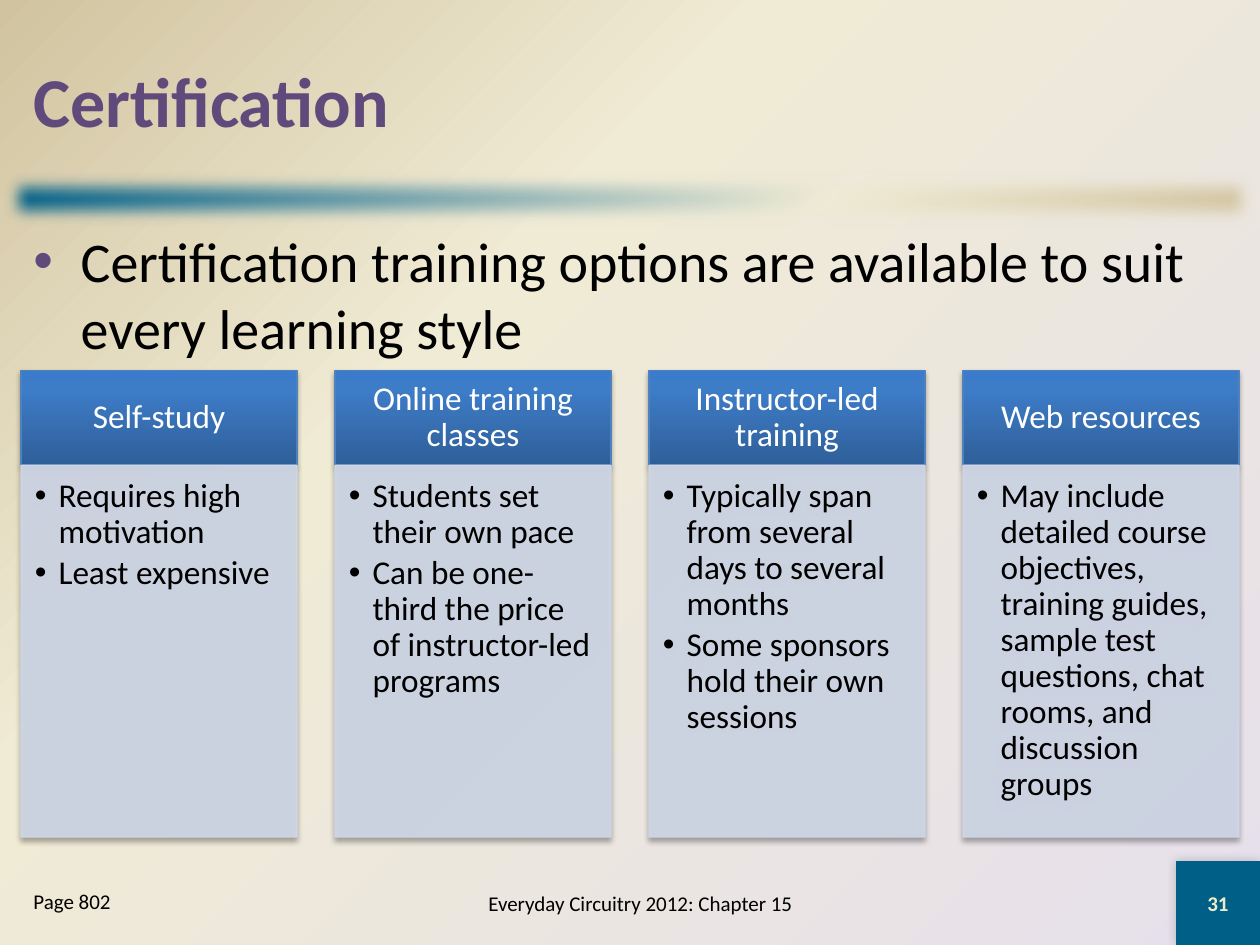
from lxml import etree
from pptx import Presentation
from pptx.dml.color import RGBColor
from pptx.enum.shapes import MSO_SHAPE
from pptx.enum.text import MSO_ANCHOR, PP_ALIGN
from pptx.oxml import parse_xml
from pptx.oxml.ns import nsdecls, qn
from pptx.util import Pt

RECTANGLE = MSO_SHAPE.RECTANGLE
TOP, MIDDLE = MSO_ANCHOR.TOP, MSO_ANCHOR.MIDDLE
LEFT, CENTER = PP_ALIGN.LEFT, PP_ALIGN.CENTER

TITLE = "Certification"
INTRO = "Certification training options are available to suit every learning style"
PAGE_LABEL = "Page 802"
FOOTER = "Everyday Circuitry 2012: Chapter 15"
SLIDE_NUMBER = "31"
CARDS = [
    ("Self-study", ["Requires high motivation", "Least expensive"]),
    ("Online training classes", [
        "Students set their own pace",
        "Can be one-third the price of instructor-led programs",
    ]),
    ("Instructor-led training", [
        "Typically span from several days to several months",
        "Some sponsors hold their own sessions",
    ]),
    ("Web resources", [
        "May include detailed course objectives, training guides, sample test "
        "questions, chat rooms, and discussion groups",
    ]),
]

FONT = "Calibri"
BLACK, WHITE, PURPLE, TEAL, CREAM = "000000", "FFFFFF", "604A7B", "005F86", "EEEBCA"
HEADER_LINE, CARD_FILL = "4F81BD", "D0D8E8"
BACKDROP_STOPS = [(0, "E6E0EC"), (65, "F0EBD5"), (100, "D1C39F")]
BAR_STOPS = [(0, TEAL), (65, "F0EBD5"), (100, "D1C39F")]
HEADER_STOPS = [(0, "2F5F99"), (80, "3D7CC7"), (100, "3A7CCB")]
RADIAL = '<a:path path="circle"><a:fillToRect l="100000" t="100000"/></a:path>'

PAGE_WIDTH, PAGE_HEIGHT = 720, 540
MARGIN = 12
CONTENT_WIDTH = PAGE_WIDTH - 2 * MARGIN
CORNER = 48
CARD_WIDTH, CARD_TOP = 157.7, 211.8
HEADER_HEIGHT, BODY_HEIGHT = 54, 212.5
CARD_PITCH = (CONTENT_WIDTH - CARD_WIDTH) / (len(CARDS) - 1)
DEFAULT_INSETS = (7.2, 3.6, 7.2, 3.6)
HEADER_INSETS = (10.64, 6.08, 10.64, 6.08)
BODY_INSETS = (7.98, 7.98, 10.64, 11.97)


def color(value):
    return RGBColor.from_string(value)


def linear(angle):
    return f'<a:lin ang="{angle * 60000}" scaled="0"/>'


def set_gradient(fill, owner, stops, direction):
    fill.background()
    empty = owner.xpath(".//a:noFill")[0]
    marks = "".join(
        f'<a:gs pos="{position * 1000}"><a:srgbClr val="{value}"/></a:gs>'
        for position, value in stops
    )
    gradient = parse_xml(
        f'<a:gradFill {nsdecls("a")} rotWithShape="1"><a:gsLst>{marks}</a:gsLst>'
        f"{direction}</a:gradFill>"
    )
    empty.getparent().replace(empty, gradient)


def set_effect(shape, effect):
    shape.shadow.inherit = False
    shape._element.spPr.xpath("a:effectLst")[0].append(
        parse_xml(effect.replace(" ", f' {nsdecls("a")} ', 1))
    )


def set_shadow(shape, alpha, blur, distance, angle):
    set_effect(
        shape,
        f'<a:outerShdw blurRad="{Pt(blur)}" dist="{Pt(distance)}" '
        f'dir="{angle * 60000}" algn="ctr" rotWithShape="0"><a:srgbClr val="{BLACK}">'
        f'<a:alpha val="{alpha * 1000}"/></a:srgbClr></a:outerShdw>',
    )


def set_alpha(shape, percent):
    for swatch in shape._element.spPr.xpath(".//a:solidFill/a:srgbClr"):
        etree.SubElement(swatch, qn("a:alpha"), val=str(percent * 1000))


def add_bullet(para, indent, tint):
    properties = para._p.get_or_add_pPr()
    properties.set("marL", str(Pt(indent)))
    properties.set("indent", str(-Pt(indent)))
    for item in (
        f'<a:buClr {nsdecls("a")}><a:srgbClr val="{tint}"/></a:buClr>',
        f'<a:buFont {nsdecls("a")} typeface="Arial"/>',
        f'<a:buChar {nsdecls("a")} char="•"/>',
    ):
        properties.append(parse_xml(item))


def write(box, lines, size, tint, bold=False, align=LEFT, anchor=TOP,
          insets=DEFAULT_INSETS, spacing=None, after=None, bullet=None):
    frame = box.text_frame
    frame.word_wrap = True
    frame.vertical_anchor = anchor
    (frame.margin_left, frame.margin_top,
     frame.margin_right, frame.margin_bottom) = map(Pt, insets)
    for index, line in enumerate(lines):
        para = frame.add_paragraph() if index else frame.paragraphs[0]
        para.text = line
        para.alignment = align
        if spacing:
            para.line_spacing = spacing
        if after:
            para.space_after = Pt(after)
        if bullet:
            add_bullet(para, *bullet)
        font = para.font
        font.name, font.size, font.bold = FONT, Pt(size), bold
        font.color.rgb = color(tint)


def add_text(page, place, text, size, tint, **style):
    box = page.shapes.add_textbox(*map(Pt, place))
    write(box, [text], size, tint, **style)


def add_rectangle(page, *place):
    return page.shapes.add_shape(RECTANGLE, *map(Pt, place))


def add_card(page, left, heading, points):
    header = add_rectangle(page, left, CARD_TOP, CARD_WIDTH, HEADER_HEIGHT)
    set_gradient(header.fill, header._element.spPr, HEADER_STOPS, linear(270))
    header.line.color.rgb = color(HEADER_LINE)
    write(header, [heading], 19, WHITE, align=CENTER, anchor=MIDDLE,
          insets=HEADER_INSETS, spacing=0.9)

    body = add_rectangle(page, left, CARD_TOP + HEADER_HEIGHT, CARD_WIDTH, BODY_HEIGHT)
    body.fill.solid()
    body.fill.fore_color.rgb = color(CARD_FILL)
    body.line.color.rgb = color(CARD_FILL)
    set_alpha(body, 90)
    write(body, points, 19, BLACK, insets=BODY_INSETS, spacing=0.9, after=2.85,
          bullet=(13.5, BLACK))

    for part in (header, body):
        part.line.width = Pt(0.75)
        set_shadow(part, 35, 3.1, 1.8, 90)


def main():
    deck = Presentation()
    deck.slide_width, deck.slide_height = Pt(PAGE_WIDTH), Pt(PAGE_HEIGHT)
    page = deck.slides.add_slide(deck.slide_layouts[6])
    set_gradient(page.background.fill, page._element, BACKDROP_STOPS, RADIAL)

    bar = add_rectangle(page, 0, 96, PAGE_WIDTH, 36)
    set_gradient(bar.fill, bar._element.spPr, BAR_STOPS, linear(45))
    bar.line.fill.background()
    set_effect(bar, f'<a:softEdge rad="{Pt(10)}"/>')

    corner = add_rectangle(page, PAGE_WIDTH - CORNER, PAGE_HEIGHT - CORNER, CORNER, CORNER)
    corner.fill.solid()
    corner.fill.fore_color.rgb = color(TEAL)
    corner.line.fill.background()
    set_shadow(corner, 20, 6, 0, 225)
    write(corner, [SLIDE_NUMBER], 12, CREAM, bold=True, align=CENTER, anchor=MIDDLE)

    add_text(page, (MARGIN, 12, CONTENT_WIDTH, 90), TITLE, 40, PURPLE,
             bold=True, anchor=MIDDLE)
    add_text(page, (MARGIN, 126, CONTENT_WIDTH, 366), INTRO, 32, BLACK,
             bullet=(27, PURPLE))
    add_text(page, (216, 498, 300, 36), FOOTER, 12, BLACK, align=CENTER, anchor=MIDDLE)
    add_text(page, (MARGIN, 504, 132, 36), PAGE_LABEL, 12, BLACK)

    for index, (heading, points) in enumerate(CARDS):
        add_card(page, MARGIN + index * CARD_PITCH, heading, points)

    deck.save("out.pptx")


if __name__ == "__main__":
    main()
